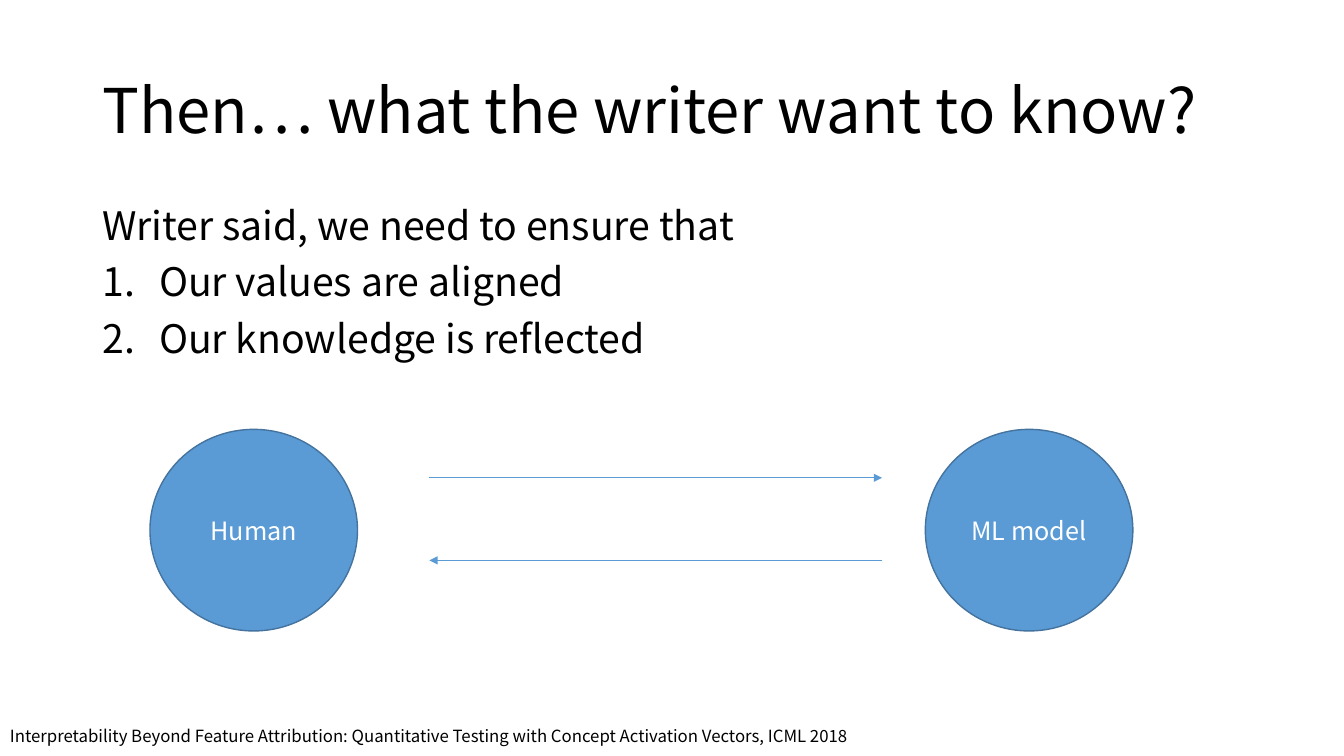
import dataclasses

import pptx
import pptx.dml.color
import pptx.enum.shapes
import pptx.enum.text
import pptx.oxml.xmlchemy
import pptx.util
from lxml import etree
from pptx.oxml.ns import qn

Cm = pptx.util.Cm
Pt = pptx.util.Pt
ALIGN = pptx.enum.text.PP_ALIGN
ANCHOR = pptx.enum.text.MSO_ANCHOR


@dataclasses.dataclass(frozen=True)
class Theme:
    face: str = "Noto Sans CJK KR"
    ink: str = "000000"
    light: str = "FFFFFF"
    blue: str = "5B9BD5"
    edge: str = "43739E"
    title: int = 44
    body: int = 28
    label: int = 18
    note: int = 12


THEME = Theme()


def rgb(code):
    return pptx.dml.color.RGBColor.from_string(code)


def assign(target, values):
    for name, value in values.items():
        setattr(target, name, value)


def style(para, size, color, **format):
    assign(para, format)
    assign(para.font, {"name": THEME.face, "size": Pt(size)})
    para.font.color.rgb = rgb(color)


def number(para):
    """Give the paragraph a hanging automatic number."""
    props = para._p.get_or_add_pPr()
    indent = Cm(1.43)
    props.set("marL", str(indent))
    props.set("indent", str(-indent))
    etree.SubElement(props, qn("a:buFont"), typeface="+mj-lt")
    etree.SubElement(props, qn("a:buAutoNum"), type="arabicPeriod")


def add_text(slide, box, lines, size, anchor=ANCHOR.MIDDLE, first=None, **format):
    """Add a text box; lines from index first onward are numbered."""
    frame = slide.shapes.add_textbox(*map(Cm, box)).text_frame
    assign(frame, {"word_wrap": True, "vertical_anchor": anchor})
    frame.text = "\n".join(lines)
    for index, para in enumerate(frame.paragraphs):
        if first is not None and index >= first:
            number(para)
        if index:
            para.space_before = Pt(10)
        style(para, size, THEME.ink, **format)


def add_node(slide, left, label):
    kind = pptx.enum.shapes.MSO_SHAPE.OVAL
    node = slide.shapes.add_shape(kind, Cm(left), Cm(10.82), Cm(5.23), Cm(5.08))
    node.shadow.inherit = False
    node.fill.solid()
    node.fill.fore_color.rgb = rgb(THEME.blue)
    node.line.color.rgb = rgb(THEME.edge)
    node.line.width = Pt(1)
    frame = node.text_frame
    assign(frame, {"text": label, "vertical_anchor": ANCHOR.MIDDLE})
    style(frame.paragraphs[0], THEME.label, THEME.light, alignment=ALIGN.CENTER)


def add_arrow(slide, start, end, top):
    kind = pptx.enum.shapes.MSO_CONNECTOR.STRAIGHT
    arrow = slide.shapes.add_connector(kind, Cm(start), Cm(top), Cm(end), Cm(top))
    arrow.line.color.rgb = rgb(THEME.blue)
    arrow.line.width = Pt(0.5)
    etree.SubElement(arrow.line._get_or_add_ln(), qn("a:tailEnd"), type="triangle")
    etree.SubElement(arrow._element.spPr, qn("a:effectLst"))


def main():
    deck = pptx.Presentation()
    assign(deck, {"slide_width": Cm(33.87), "slide_height": Cm(19.05)})
    slide = deck.slides.add_slide(deck.slide_layouts[6])

    source = (
        "Interpretability Beyond Feature Attribution: "
        "Quantitative Testing with Concept Activation Vectors, ICML 2018"
    )
    add_text(slide, (0, 18.03, 23.06, 1.02), [source], THEME.note)
    add_text(
        slide, (2.33, 1.02, 29.21, 3.68),
        ["Then… what the writer want to know?"], THEME.title, line_spacing=0.9,
    )
    points = [
        "Writer said, we need to ensure that",
        "Our values are aligned",
        "Our knowledge is reflected",
    ]
    add_text(
        slide, (2.33, 5.08, 29.21, 12.09), points, THEME.body,
        anchor=ANCHOR.TOP, first=1, line_spacing=0.9,
    )

    for left, label in ((3.78, "Human"), (23.32, "ML model")):
        add_node(slide, left, label)
    near, far = 10.82, 22.23
    add_arrow(slide, near, far, 12.04)
    add_arrow(slide, far, near, 14.12)
    deck.save("out.pptx")


if __name__ == "__main__":
    main()
